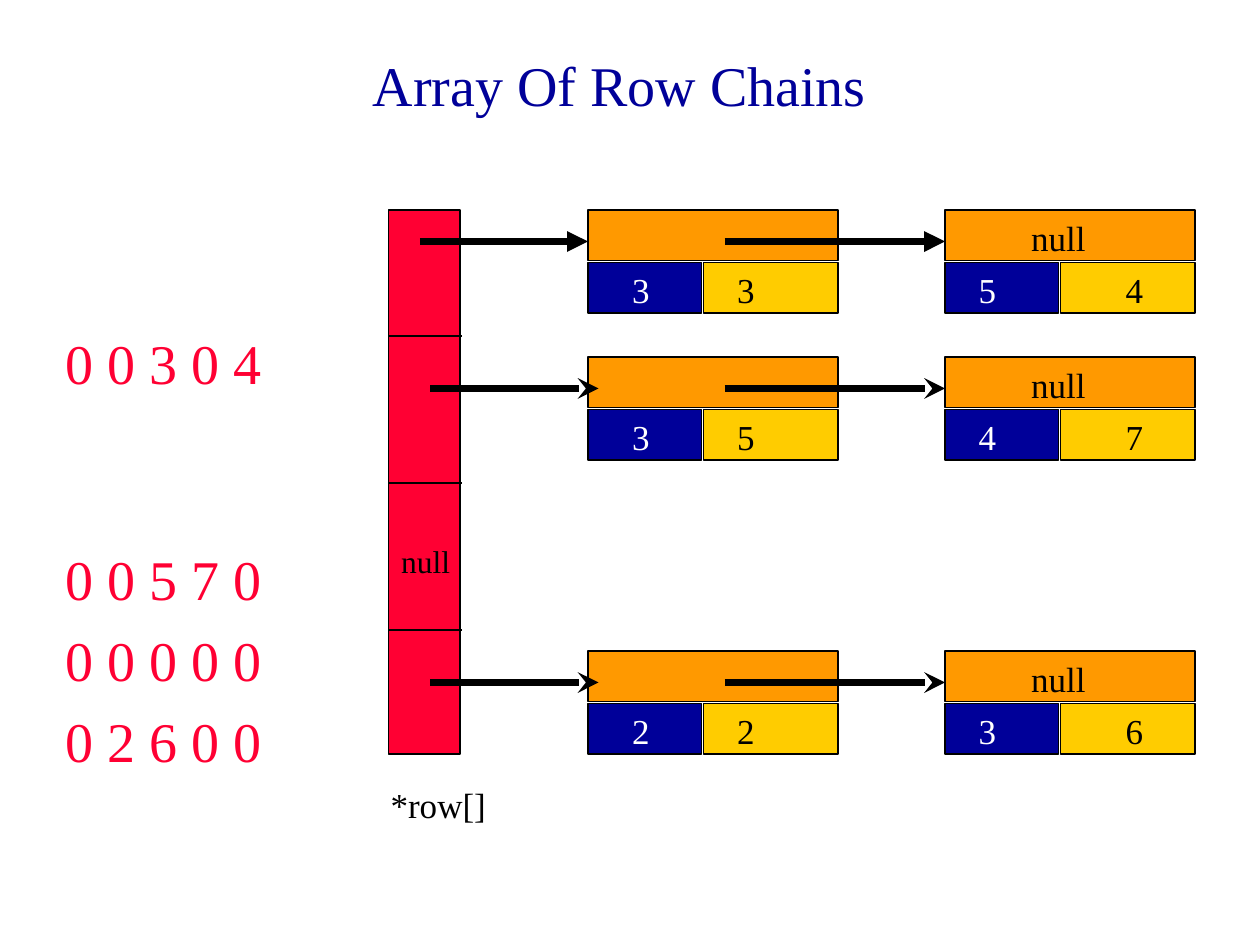
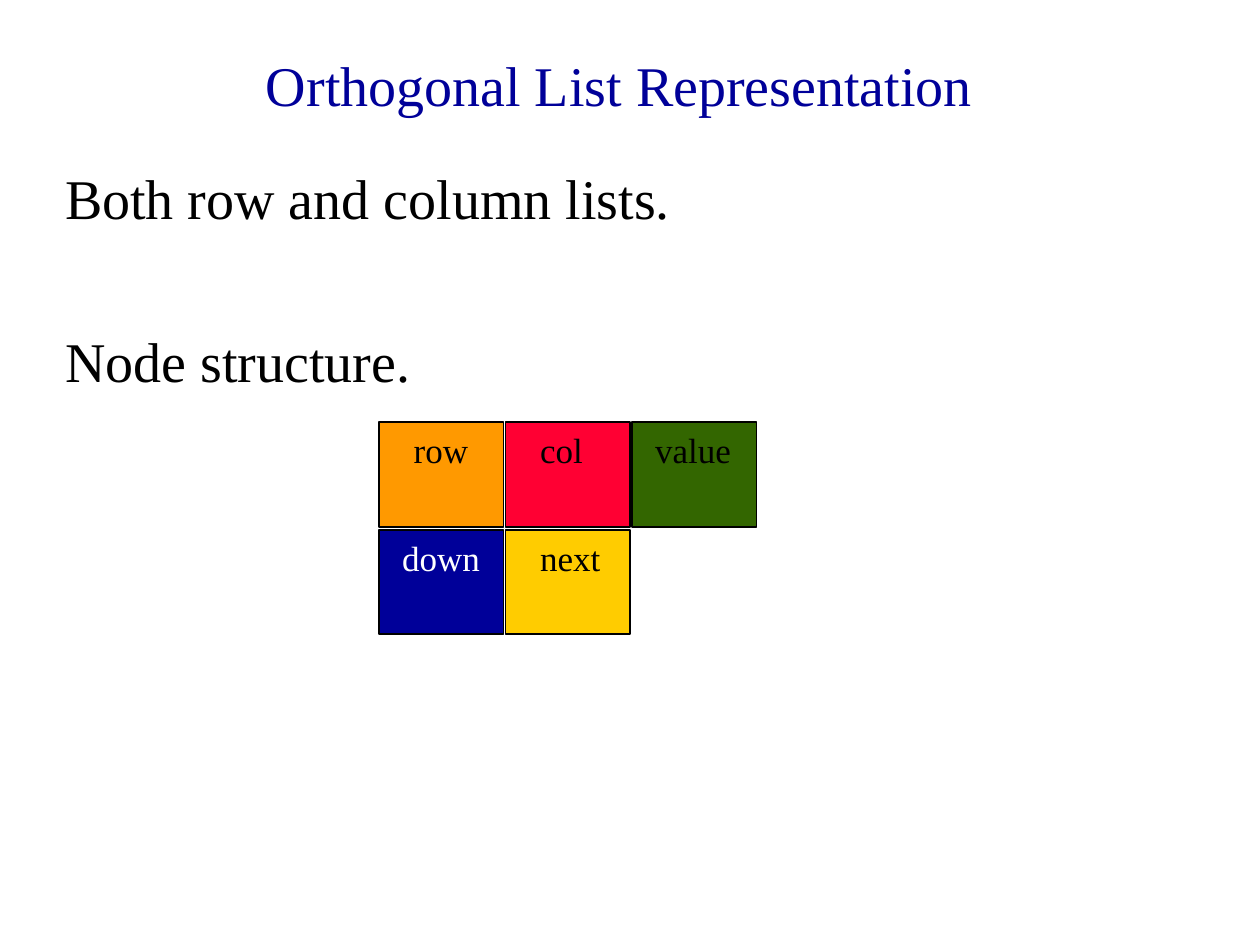
from dataclasses import dataclass

from lxml import etree
from pptx import Presentation
from pptx.dml.color import RGBColor
from pptx.enum.shapes import MSO_CONNECTOR, MSO_SHAPE
from pptx.enum.text import MSO_ANCHOR, PP_ALIGN
from pptx.oxml.ns import qn
from pptx.util import Inches, Pt

LEFT, CENTER = PP_ALIGN.LEFT, PP_ALIGN.CENTER
TOP, MIDDLE = MSO_ANCHOR.TOP, MSO_ANCHOR.MIDDLE
RECTANGLE, STRAIGHT = MSO_SHAPE.RECTANGLE, MSO_CONNECTOR.STRAIGHT

FONT = "Times New Roman"
BLACK, WHITE = "000000", "FFFFFF"
NAVY, RED, ORANGE, YELLOW, GREEN = "000099", "FF0033", "FF9900", "FFCC00", "336600"
TITLE_SIZE = BODY_SIZE = 32
LABEL_SIZE = 20
BODY_GAP = 8
BODY_LINE = 1.2 * BODY_SIZE

# All lengths are columns and rows of a 120 x 90 grid, 12 to the inch.
COLUMNS, ROWS = 120, 90
CELL_GAP = 0.18
MARGIN_X, MARGIN_Y = 1.2, 0.6

ARRAY_LEFT, ARRAY_TOP, ARRAY_WIDTH, ARRAY_HEIGHT = 37, 20, 7, 52
ROW_PITCH = 14
FIRST_NODE, LAST_NODE = 56, 90
LINK_WIDTH, COL_WIDTH, VALUE_WIDTH, NODE_ROW = 24, 11, 13, 5
FIELD_LEFT, FIELD_TOP, FIELD_STEP_X, FIELD_STEP_Y = 36.1, 40.2, 12.05, 10.25


@dataclass(frozen=True)
class Node:
    left: float
    col: str
    value: str
    col_indent: float
    value_indent: float
    link: str = ""


@dataclass(frozen=True)
class Chain:
    row: int
    nodes: tuple[Node, Node]
    head: str = "stealth"
    start: float = 41


@dataclass(frozen=True)
class Field:
    name: str
    column: int
    row: int
    fill: str
    indent: float
    color: str = BLACK


def chain(row: int, first: str, last: str, **options) -> Chain:
    """Each node is given as its column digit followed by its value digit."""
    return Chain(row, (Node(FIRST_NODE, *first, 3, 2),
                       Node(LAST_NODE, *last, 2, 5, "null")), **options)


CHAINS = (
    chain(0, "33", "54", head="triangle", start=40),
    chain(1, "35", "47"),
    chain(3, "22", "36"),
)
FIELDS = (
    Field("row", 0, 0, ORANGE, 2.1),
    Field("col", 1, 0, RED, 2.1),
    Field("value", 2, 0, GREEN, 1),
    Field("down", 0, 1, NAVY, 1, WHITE),
    Field("next", 1, 1, YELLOW, 2.1),
)


def grid(units: float) -> int:
    return Inches(units / 12)


def rgb(color: str) -> RGBColor:
    return RGBColor.from_string(color)


def write(shape, text: str, *, size: float = LABEL_SIZE, color: str = BLACK,
          align=LEFT, anchor=TOP, indent: float = 0, gaps: tuple = ()) -> None:
    """Fill a shape with one paragraph per line; gaps are points between them."""
    frame = shape.text_frame
    frame.word_wrap = True
    frame.vertical_anchor = anchor
    frame.margin_left = grid(MARGIN_X + indent)
    frame.margin_right = 0 if indent else grid(MARGIN_X)
    frame.margin_top = frame.margin_bottom = grid(MARGIN_Y)
    for index, line in enumerate(text.split("\n")):
        para = frame.add_paragraph() if index else frame.paragraphs[0]
        para.alignment = align
        if index:
            para.space_before = Pt(gaps[index - 1])
        span = para.add_run()
        span.text = line
        span.font.name = FONT
        span.font.size = Pt(size)
        span.font.color.rgb = rgb(color)


def add_text(page, text: str, left: float, top: float, width: float,
             height: float, **style) -> None:
    box = page.shapes.add_textbox(grid(left), grid(top), grid(width), grid(height))
    write(box, text, **style)


def add_cell(page, left: float, top: float, width: float, height: float,
             fill: str, text: str = "", **style) -> None:
    box = page.shapes.add_shape(RECTANGLE, grid(left), grid(top),
                                grid(width - CELL_GAP), grid(height - CELL_GAP))
    box.shadow.inherit = False
    box.fill.solid()
    box.fill.fore_color.rgb = rgb(fill)
    box.line.color.rgb = rgb(BLACK)
    box.line.width = Pt(1)
    if text:
        write(box, text, **style)


def add_line(page, start: float, end: float, y: float, width: float = 1,
             head: str = "") -> None:
    line = page.shapes.add_connector(STRAIGHT, grid(start), grid(y), grid(end), grid(y))
    line.line.color.rgb = rgb(BLACK)
    line.line.width = Pt(width)
    if head:
        etree.SubElement(line.line._get_or_add_ln(), qn("a:tailEnd"), type=head)
    etree.SubElement(line._element.spPr, qn("a:effectLst"))


def add_page(deck, title: str):
    page = deck.slides.add_slide(deck.slide_layouts[6])
    add_text(page, title, 8, 0, 102, 16, size=TITLE_SIZE, color=NAVY,
             align=CENTER, anchor=MIDDLE)
    return page


def add_node(page, node: Node, top: float) -> None:
    add_cell(page, node.left, top, LINK_WIDTH, NODE_ROW, ORANGE, node.link, indent=7)
    add_cell(page, node.left, top + NODE_ROW, COL_WIDTH, NODE_ROW, NAVY, node.col,
             color=WHITE, indent=node.col_indent)
    add_cell(page, node.left + COL_WIDTH, top + NODE_ROW, VALUE_WIDTH, NODE_ROW, YELLOW,
             node.value, indent=node.value_indent)


def add_chain(page, item: Chain) -> None:
    top = ARRAY_TOP + item.row * ROW_PITCH
    for node in item.nodes:
        add_node(page, node, top)
    for start, end in ((FIRST_NODE + 13, LAST_NODE), (item.start, item.start + 16)):
        add_line(page, start, end, top + 3, width=4, head=item.head)


def build_row_chains(deck) -> None:
    page = add_page(deck, "Array Of Row Chains")
    add_text(page, "0 0 3 0 4\n0 0 5 7 0\n0 0 0 0 0\n0 2 6 0 0", 5, 30.73, 23, 49,
             size=BODY_SIZE, color=RED, gaps=(BODY_GAP + 2 * BODY_LINE, BODY_GAP, BODY_GAP))
    add_cell(page, ARRAY_LEFT, ARRAY_TOP, ARRAY_WIDTH, ARRAY_HEIGHT, RED)
    for divider in range(3):
        add_line(page, ARRAY_LEFT, ARRAY_LEFT + ARRAY_WIDTH,
                 ARRAY_TOP + 12 + divider * ROW_PITCH)
    add_text(page, "*row[]", ARRAY_LEFT - 1, 74, 13, 5)
    for item in CHAINS:
        add_chain(page, item)
    add_text(page, "null", ARRAY_LEFT, 51, 8, 5, size=18)


def build_orthogonal_list(deck) -> None:
    page = add_page(deck, "Orthogonal List Representation")
    add_text(page, "Both row and column lists.\nNode structure.", 5, 15, 111, 57,
             size=BODY_SIZE, gaps=(2 * BODY_GAP + BODY_LINE,))
    for field in FIELDS:
        add_cell(page, FIELD_LEFT + field.column * FIELD_STEP_X,
                 FIELD_TOP + field.row * FIELD_STEP_Y, 12.05, 10.15, field.fill,
                 field.name, color=field.color, indent=field.indent)


def main() -> None:
    deck = Presentation()
    deck.slide_width, deck.slide_height = grid(COLUMNS), grid(ROWS)
    build_row_chains(deck)
    build_orthogonal_list(deck)
    deck.save("out.pptx")


if __name__ == "__main__":
    main()
